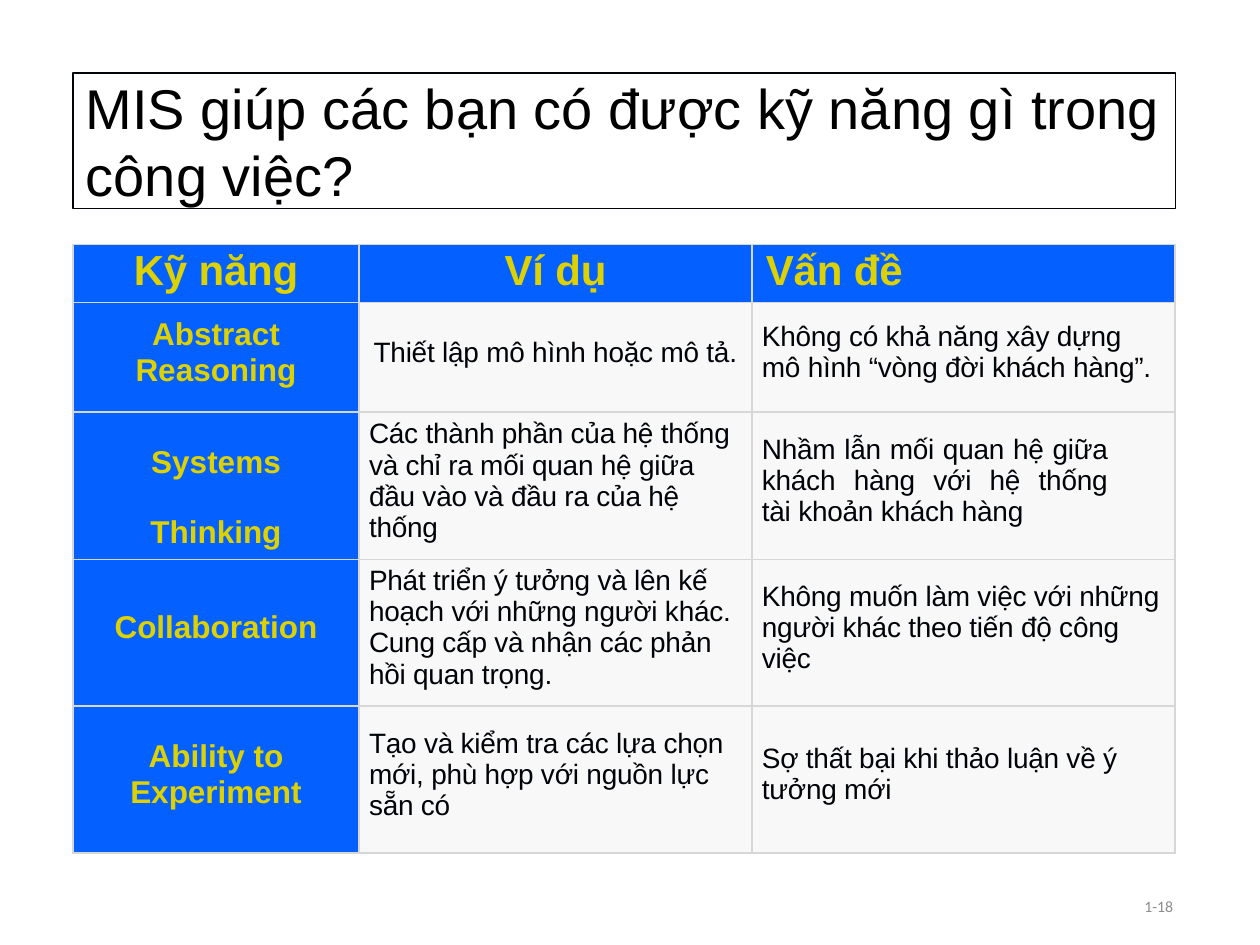
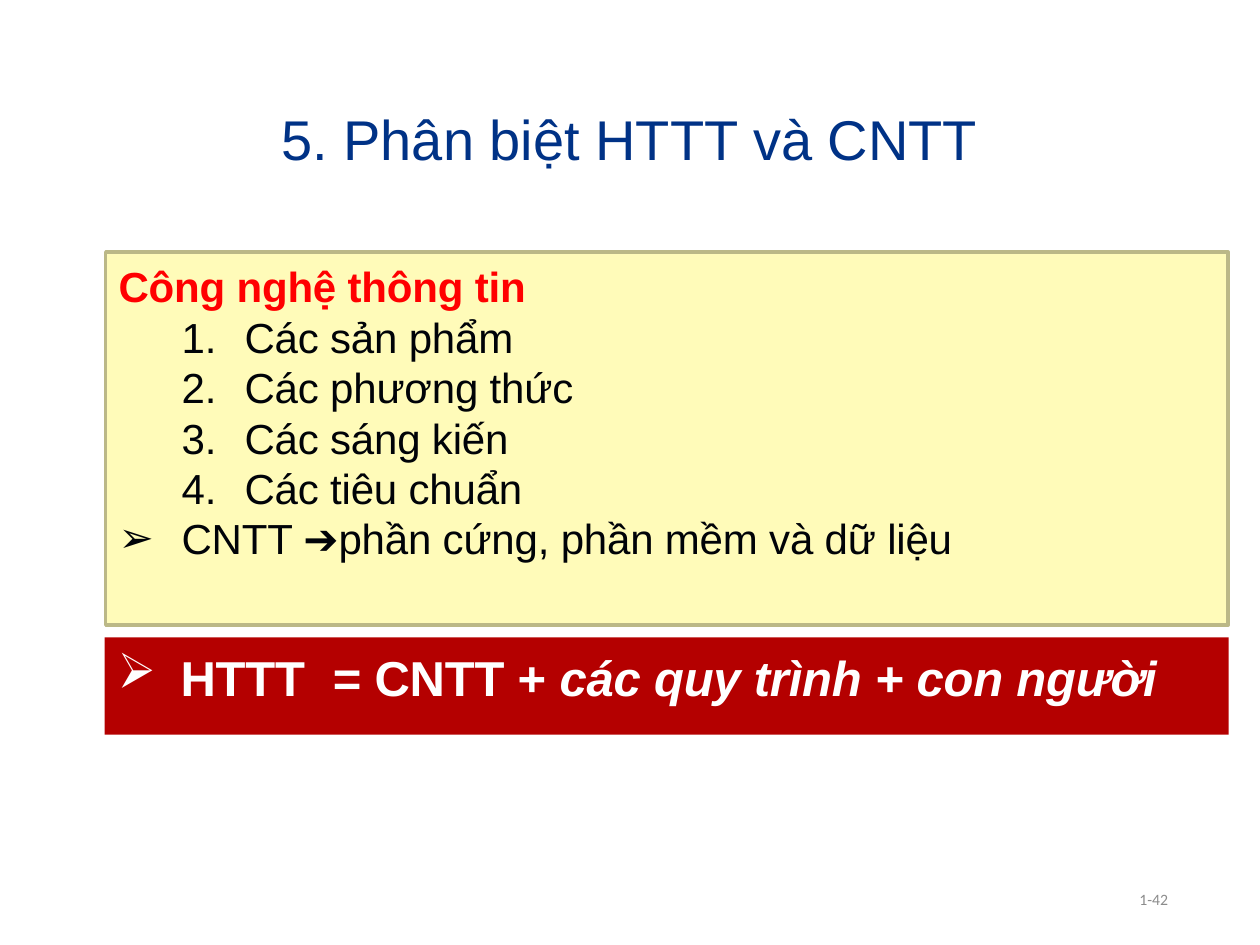
from dataclasses import dataclass
from typing import Optional

import pptx
import pptx.dml.color
import pptx.enum.shapes
import pptx.enum.text
import pptx.oxml
import pptx.oxml.ns
import pptx.util
from pptx.dml.color import RGBColor

Cm = pptx.util.Cm
Pt = pptx.util.Pt
qn = pptx.oxml.ns.qn
Align = pptx.enum.text.PP_ALIGN
Anchor = pptx.enum.text.MSO_ANCHOR

# Shared colours and fonts
INK = RGBColor(0x00, 0x03, 0x08)
BLACK = RGBColor(0x00, 0x00, 0x00)
WHITE = RGBColor(0xFF, 0xFF, 0xFF)
NAVY = RGBColor(0x00, 0x32, 0x86)
BLUE = RGBColor(0x04, 0x61, 0xFF)
GOLD = RGBColor(0xDD, 0xD2, 0x00)
PALE = RGBColor(0xF8, 0xF8, 0xF8)
GRID = RGBColor(0xD7, 0xD7, 0xD7)
GREY = RGBColor(0x8C, 0x8C, 0x8C)
RED = RGBColor(0xFF, 0x00, 0x00)
DARK_RED = RGBColor(0xB4, 0x00, 0x00)
CREAM = RGBColor(0xFF, 0xFB, 0xB9)
KHAKI = RGBColor(0xBB, 0xB8, 0x87)
TEXT_FONT = "Arial"
NUMBER_FONT = "Calibri"
TITLE_ONLY, TITLE_AND_BODY = 5, 1
NUMBERED = '<a:buAutoNum {} type="arabicPeriod"/>'
ARROWED = '<a:buChar {} char="➢"/>'
NO_BULLET = "<a:buNone {}/>"


@dataclass(frozen=True)
class Place:
    left: float
    top: float
    width: float
    height: float

    def lengths(self) -> tuple:
        return Cm(self.left), Cm(self.top), Cm(self.width), Cm(self.height)


@dataclass(frozen=True)
class Style:
    size: float
    color: RGBColor
    bold: bool = False
    italic: Optional[bool] = None
    font: str = TEXT_FONT
    spacing: int = 0  # hundredths of a point


@dataclass(frozen=True)
class Item:
    text: str
    style: Style
    bullet: str = NO_BULLET
    margin: float = 0.26
    hanging: float = 0


@dataclass(frozen=True)
class Cell:
    """Lines become paragraphs; a vertical tab is a line break."""
    text: str
    style: Style
    fill: RGBColor
    align: Align = Align.LEFT
    side: float = 0.2
    right: float = 0.2
    top: float = 0
    bottom: float = 0.2
    gap: float = 0


TITLE = Style(32, BLACK)
NUMBER = Style(9, GREY, font=NUMBER_FONT)
HEADER = Style(24, GOLD, bold=True, spacing=-10)
SKILL = Style(18, GOLD, bold=True)
DETAIL = Style(16, INK, spacing=-10)
LIST_HEADING = Style(24, RED, bold=True, spacing=-10)
LIST_ITEM = Style(24, INK, spacing=-10)
EQUATION = Style(28, WHITE, bold=True, spacing=-10)
EQUATION_ITALIC = Style(28, WHITE, bold=True, italic=True, spacing=-10)


# Text helpers
def add_span(para, text: str, style: Style) -> None:
    span = para.add_run()
    span.text = text
    font = span.font
    font.name, font.size = style.font, Pt(style.size)
    font.bold, font.italic = style.bold, style.italic
    font.color.rgb = style.color
    if style.spacing:
        span._r.get_or_add_rPr().set("spc", str(style.spacing))


def set_insets(frame, left: float = 0, top: float = 0) -> None:
    frame.margin_left, frame.margin_top = Cm(left), Cm(top)
    frame.margin_right = frame.margin_bottom = Cm(0)


def set_frame(frame, anchor: Anchor) -> None:
    frame.word_wrap = True
    frame.auto_size = pptx.enum.text.MSO_AUTO_SIZE.NONE
    frame.vertical_anchor = anchor


def set_bullet(para, bullet: str, margin: float, hanging: float,
               tab: Optional[float] = None) -> None:
    properties = para._p.get_or_add_pPr()
    properties.set("marL", str(Cm(margin)))
    properties.set("indent", str(-Cm(hanging)))
    namespace = pptx.oxml.ns.nsdecls("a")
    properties.append(pptx.oxml.parse_xml(bullet.format(namespace)))
    if tab is not None:
        properties.append(pptx.oxml.parse_xml(
            f'<a:tabLst {namespace}><a:tab pos="{Cm(tab)}" algn="l"/></a:tabLst>'))


def move(box, place: Place) -> None:
    box.left, box.top, box.width, box.height = place.lengths()


# Parts that both slides have
def add_title(page, text: str, place: Place, style: Style, align: Align, spacing):
    box = page.shapes.title
    move(box, place)
    set_frame(box.text_frame, Anchor.MIDDLE)
    para = box.text_frame.paragraphs[0]
    para.alignment, para.line_spacing = align, spacing
    add_span(para, text, style)
    return box


def add_page_number(page, text: str, place: Place) -> None:
    box = page.shapes.add_textbox(*place.lengths())
    set_frame(box.text_frame, Anchor.MIDDLE)
    set_insets(box.text_frame)
    para = box.text_frame.paragraphs[0]
    para.alignment, para.line_spacing = Align.RIGHT, Pt(16.5)
    add_span(para, text, NUMBER)


# Table
def add_borders(cell) -> None:
    properties = cell._tc.get_or_add_tcPr()
    for edge in ("lnL", "lnR", "lnT", "lnB"):
        properties.append(pptx.oxml.parse_xml(
            f'<a:{edge} {pptx.oxml.ns.nsdecls("a")} w="{Pt(1)}"><a:solidFill>'
            f'<a:srgbClr val="{GRID}"/></a:solidFill></a:{edge}>'))


def fill_cell(cell, content: Cell) -> None:
    add_borders(cell)
    cell.fill.solid()
    cell.fill.fore_color.rgb = content.fill
    cell.vertical_anchor = Anchor.MIDDLE
    cell.margin_left, cell.margin_right = Cm(content.side), Cm(content.right)
    cell.margin_top, cell.margin_bottom = Cm(content.top), Cm(content.bottom)
    for index, line in enumerate(content.text.split("\n")):
        para = cell.text_frame.add_paragraph() if index else cell.text_frame.paragraphs[0]
        para.alignment = content.align
        if index:
            para.space_before = Pt(content.gap)
        for part_index, part in enumerate(line.split("\v")):
            if part_index:
                para.add_line_break()
            add_span(para, part, content.style)


def header(text: str, align: Align = Align.CENTER, side: float = 0) -> Cell:
    return Cell(text, HEADER, BLUE, align, side, 0, bottom=0.12)


def skill(text: str, **options) -> Cell:
    return Cell(text, SKILL, BLUE, Align.CENTER, 0, 0, **options)


def detail(text: str, **options) -> Cell:
    return Cell(text, DETAIL, PALE, **options)


COLUMN_WIDTHS = (5.77, 7.92, 8.53)
ROW_HEIGHTS = (1.17, 2.21, 2.97, 2.95, 2.97)
SKILL_ROWS = (
    (header("Kỹ năng"), header("Ví dụ"), header("Vấn đề", Align.LEFT, 0.28)),
    (skill("Abstract Reasoning"),
     detail("Thiết lập mô hình hoặc mô tả.", align=Align.CENTER, side=0, right=0),
     detail("Không có khả năng xây dựng mô hình “vòng đời khách hàng”.")),
    (skill("Systems\nThinking", top=0.48, bottom=0, gap=20),
     detail("Các thành phần của hệ thống và chỉ ra mối quan hệ giữa "
            "đầu vào và đầu ra của hệ thống"),
     detail("Nhầm lẫn mối quan hệ giữa khách hàng với hệ thống\vtài khoản khách hàng",
            align=Align.JUSTIFY, right=1.35)),
    (skill("Collaboration"),
     detail("Phát triển ý tưởng và lên kế hoạch với những người khác. "
            "Cung cấp và nhận các phản hồi quan trọng."),
     detail("Không muốn làm việc với những người khác theo tiến độ công việc")),
    (skill("Ability to Experiment"),
     detail("Tạo và kiểm tra các lựa chọn mới, phù hợp với nguồn lực sẵn có"),
     detail("Sợ thất bại khi thảo luận về ý tưởng mới")),
)


def build_skills_page(deck) -> None:
    page = deck.slides.add_slide(deck.slide_layouts[TITLE_ONLY])
    title = add_title(page, "MIS giúp các bạn có được kỹ năng gì trong công việc?",
                      Place(1.47, 1.47, 22.23, 2.74), TITLE, Align.LEFT, Pt(38.4))
    set_insets(title.text_frame, left=0.26)
    title.line.color.rgb, title.line.width = INK, Pt(0.75)

    place = Place(1.47, 4.93, sum(COLUMN_WIDTHS), sum(ROW_HEIGHTS))
    table = page.shapes.add_table(len(ROW_HEIGHTS), len(COLUMN_WIDTHS),
                                  *place.lengths()).table
    table.horz_banding = False
    for column, width in zip(table.columns, COLUMN_WIDTHS):
        column.width = Cm(width)
    for row, height, contents in zip(table.rows, ROW_HEIGHTS, SKILL_ROWS):
        row.height = Cm(height)
        for cell, content in zip(row.cells, contents):
            fill_cell(cell, content)
    add_page_number(page, "1-18", Place(17.93, 17.65, 5.72, 1.02))


# Information technology against information systems
TECHNOLOGY_ITEMS = (
    Item("Công nghệ thông tin", LIST_HEADING),
    *(Item(text, LIST_ITEM, NUMBERED, 2.8, 1.27) for text in (
        "Các sản phẩm", "Các phương thức", "Các sáng kiến", "Các tiêu chuẩn")),
    Item("CNTT ➔phần cứng, phần mềm và dữ liệu", LIST_ITEM, ARROWED, 1.53, 1.27),
)


def build_comparison_page(deck) -> None:
    page = deck.slides.add_slide(deck.slide_layouts[TITLE_AND_BODY])
    add_title(page, "5. Phân biệt HTTT và CNTT", Place(1.75, 1.02, 21.89, 3.68),
              Style(32, NAVY), Align.CENTER, 0.9)

    # List box
    body = page.placeholders[1]
    move(body, Place(2.13, 5.08, 22.63, 7.52))
    body.fill.solid()
    body.fill.fore_color.rgb = CREAM
    body.line.color.rgb, body.line.width = KHAKI, Pt(2)
    frame = body.text_frame
    set_frame(frame, Anchor.TOP)
    set_insets(frame, top=0.18)
    for index, item in enumerate(TECHNOLOGY_ITEMS):
        para = frame.add_paragraph() if index else frame.paragraphs[0]
        set_bullet(para, item.bullet, item.margin, item.hanging)
        para.alignment, para.line_spacing = Align.LEFT, Pt(28.8)
        para.space_before = Pt(0)
        add_span(para, item.text, item.style)

    # Equation band
    band = page.shapes.add_shape(pptx.enum.shapes.MSO_SHAPE.RECTANGLE,
                                 *Place(2.11, 12.85, 22.66, 1.96).lengths())
    band.shadow.inherit = False
    band.fill.solid()
    band.fill.fore_color.rgb = DARK_RED
    band.line.fill.background()
    set_frame(band.text_frame, Anchor.TOP)
    set_insets(band.text_frame, top=0.2)
    para = band.text_frame.paragraphs[0]
    set_bullet(para, ARROWED, 1.53, 1.27, tab=4.6)
    para.alignment = Align.LEFT
    add_span(para, "HTTT\t= CNTT + ", EQUATION)
    add_span(para, "các quy trình + con người", EQUATION_ITALIC)
    add_page_number(page, "1-42", Place(22, 17.7, 1.55, 0.64))


def main() -> None:
    deck = pptx.Presentation()
    deck.slide_width, deck.slide_height = Cm(25.4), Cm(19.05)
    build_skills_page(deck)
    build_comparison_page(deck)
    deck.save("out.pptx")


if __name__ == "__main__":
    main()
